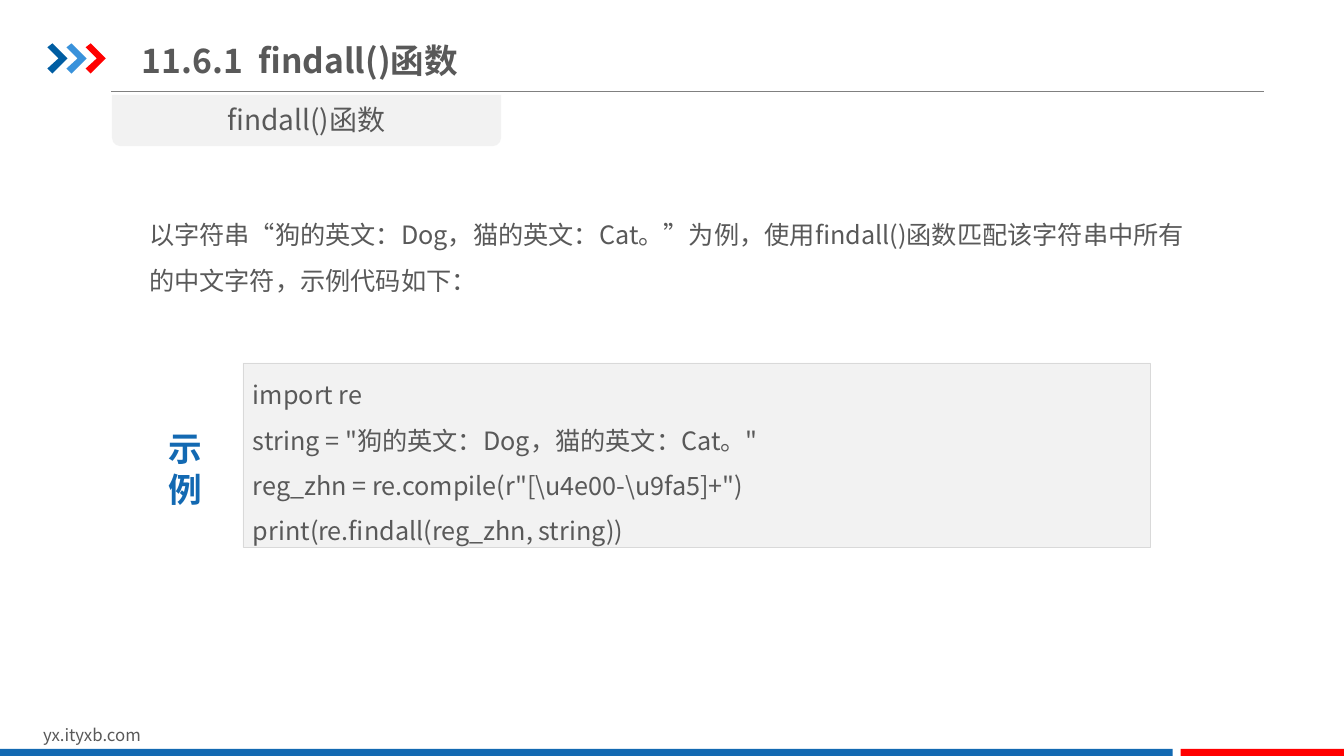
from lxml import etree
from pptx import Presentation
from pptx.dml.color import RGBColor
from pptx.enum.shapes import MSO_CONNECTOR, MSO_SHAPE
from pptx.enum.text import MSO_ANCHOR, PP_ALIGN
from pptx.oxml.ns import qn
from pptx.util import Inches, Pt

STRAIGHT = MSO_CONNECTOR.STRAIGHT
RECTANGLE = MSO_SHAPE.RECTANGLE
ROUND_TOP = MSO_SHAPE.ROUND_2_SAME_RECTANGLE
TOP, MIDDLE = MSO_ANCHOR.TOP, MSO_ANCHOR.MIDDLE
LEFT, CENTER = PP_ALIGN.LEFT, PP_ALIGN.CENTER

FONT = "Noto Sans CJK SC"
TEXT_GRAY = RGBColor(0x59, 0x59, 0x59)
RULE_GRAY = RGBColor(0x80, 0x80, 0x80)
BORDER_GRAY = RGBColor(0xD9, 0xD9, 0xD9)
PANEL_GRAY = RGBColor(0xF2, 0xF2, 0xF2)
BLUE = RGBColor(0x13, 0x69, 0xB2)
DARK_BLUE = RGBColor(0x00, 0x5D, 0xA2)
LIGHT_BLUE = RGBColor(0x39, 0x92, 0xDB)
RED = RGBColor(0xFF, 0x00, 0x00)

CHEVRON_POINTS = [(0, 0.04), (0.05, 0), (0.2, 0.15), (0.05, 0.3), (0, 0.25), (0.11, 0.15)]
EXAMPLE_CODE = [
    "import re",
    'string = "狗的英文：Dog，猫的英文：Cat。"',
    r'reg_zhn = re.compile(r"[\u4e00-\u9fa5]+")',
    "print(re.findall(reg_zhn, string))",
]


def write_lines(shape, lines, size, color=TEXT_GRAY, bold=False, align=LEFT, anchor=TOP, spacing=1.0):
    """Fill a shape with one paragraph per line."""
    frame = shape.text_frame
    frame.word_wrap = True
    frame.vertical_anchor = anchor
    for index, line in enumerate(lines):
        paragraph = frame.paragraphs[0] if index == 0 else frame.add_paragraph()
        paragraph.alignment = align
        paragraph.line_spacing = spacing
        run = paragraph.add_run()
        run.text = line
        run.font.name = FONT
        run.font.size = Pt(size)
        run.font.bold = bold
        run.font.color.rgb = color
        east_asian = etree.SubElement(run.font._element, qn("a:ea"))
        east_asian.set("typeface", FONT)


def add_text(slide, box, lines, size, **style):
    """Add a text box in the given box."""
    shape = slide.shapes.add_textbox(*map(Inches, box))
    write_lines(shape, lines, size, **style)


def paint(shape, fill):
    """Give a shape a flat fill without outline or shadow."""
    shape.shadow.inherit = False
    shape.fill.solid()
    shape.fill.fore_color.rgb = fill
    shape.line.fill.background()


def add_block(slide, kind, box, fill):
    """Add a flat preset shape in the given box."""
    shape = slide.shapes.add_shape(kind, *map(Inches, box))
    paint(shape, fill)
    return shape


def add_chevrons(slide, left, top, pitch):
    """Draw the three chevrons beside the title."""
    for index, color in enumerate((DARK_BLUE, LIGHT_BLUE, RED)):
        points = [(Inches(left + index * pitch + x), Inches(top + y)) for x, y in CHEVRON_POINTS]
        builder = slide.shapes.build_freeform(*points[0], scale=1.0)
        builder.add_line_segments(points[1:], close=True)
        paint(builder.convert_to_shape(), color)


def add_header(slide, left, top, width, height):
    """Draw the chevrons, the section title and the rule below it."""
    rule_y = Inches(top + height)
    rule = slide.shapes.add_connector(STRAIGHT, Inches(left + 0.63), rule_y, Inches(left + width), rule_y)
    rule.line.color.rgb = RULE_GRAY
    rule.line.width = Pt(0.75)
    etree.SubElement(rule._element.spPr, qn("a:effectLst"))
    add_chevrons(slide, left, top + 0.14, 0.19)
    add_text(slide, (left + 0.84, top, 6.34, 0.61), ["11.6.1  findall()函数"], 24, bold=True, anchor=MIDDLE)


def add_topic_tab(slide, left, top, width, height):
    """Draw the tab that hangs below the rule."""
    tab = add_block(slide, ROUND_TOP, (left, top, width, height), PANEL_GRAY)
    tab.rotation = 180
    add_text(slide, (left, top + 0.03, width, 0.44), ["findall()函数"], 20, align=CENTER)


def add_example(slide, left, top, width, height):
    """Draw the example label and the code panel to its right."""
    add_text(slide, (left, top + 0.6, 0.54, 0.91), ["示", "例"], 24, color=BLUE, bold=True, align=CENTER)
    panel = add_block(slide, RECTANGLE, (left + 0.84, top, width - 0.84, height), PANEL_GRAY)
    panel.line.color.rgb = BORDER_GRAY
    panel.line.width = Pt(0.25)
    write_lines(panel, EXAMPLE_CODE, 18, anchor=MIDDLE, spacing=1.5)


def add_footer(slide, left, top, width, height):
    """Draw the web address and the two-colour bar."""
    bar_top = top + height - 0.09
    add_text(slide, (left + 0.33, top, 3.18, 0.3), ["yx.ityxb.com"], 12)
    add_block(slide, RECTANGLE, (left, bar_top, 11.63, 0.09), BLUE)
    add_block(slide, RECTANGLE, (left + 11.71, bar_top, width - 11.71, 0.09), RED)


def main():
    """Build the slide and save it."""
    presentation = Presentation()
    presentation.slide_width = Inches(13.33)
    presentation.slide_height = Inches(7.5)
    slide = presentation.slides.add_slide(presentation.slide_layouts[6])
    add_header(slide, 0.47, 0.29, 12.07, 0.62)
    add_footer(slide, 0, 7.14, 13.33, 0.38)
    introduction = "以字符串“狗的英文：Dog，猫的英文：Cat。”为例，使用findall()函数匹配该字符串中所有的中文字符，示例代码如下："
    add_text(slide, (1.38, 1.98, 10.6, 1.01), [introduction], 18, spacing=1.5)
    add_example(slide, 1.57, 3.6, 9.84, 1.83)
    add_topic_tab(slide, 1.11, 0.94, 3.86, 0.51)
    presentation.save("out.pptx")


if __name__ == "__main__":
    main()
